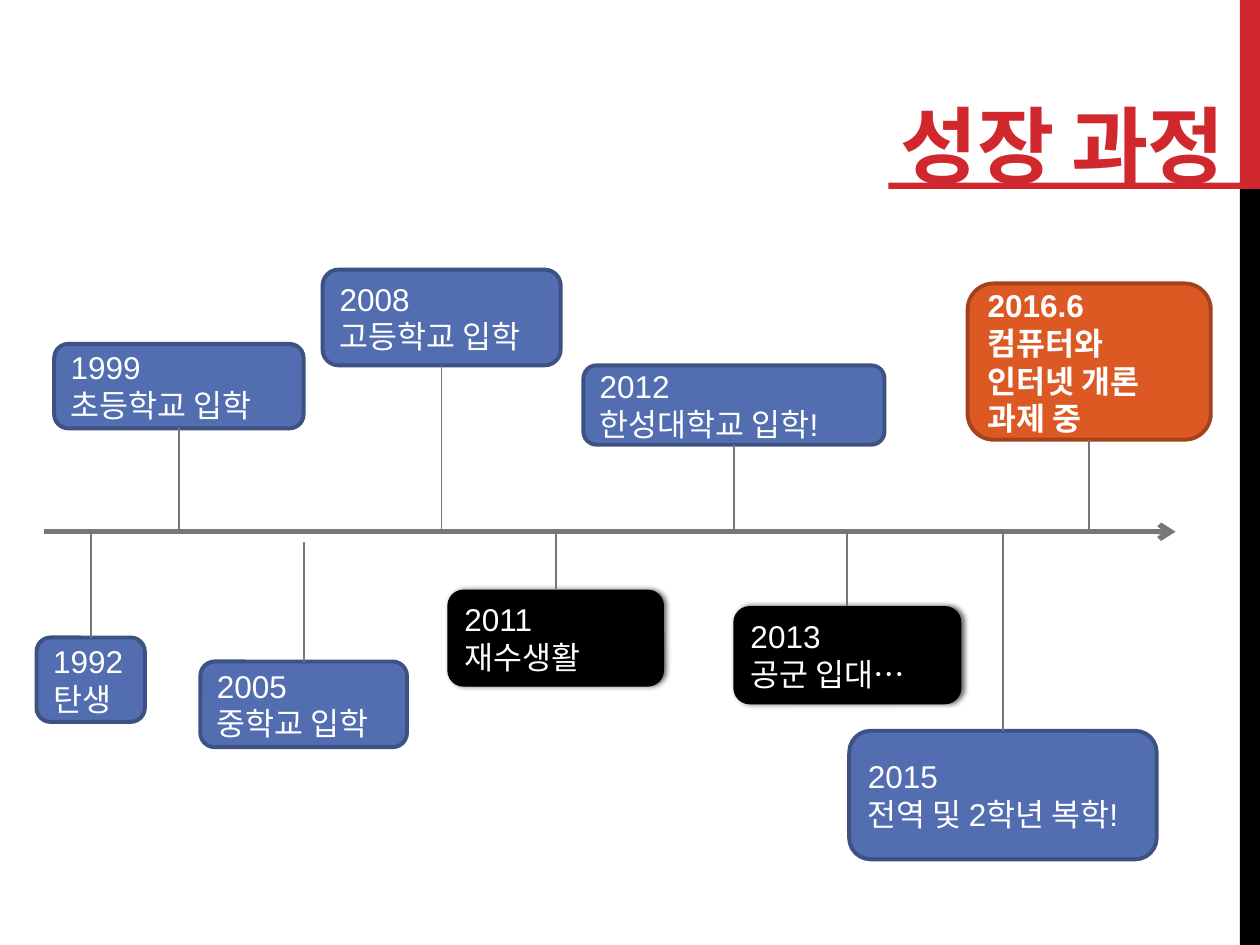
from dataclasses import dataclass

from lxml import etree
from pptx import Presentation
from pptx.dml.color import RGBColor
from pptx.enum import shapes, text
from pptx.oxml import ns
from pptx.util import Inches, Pt


@dataclass
class Theme:
    red: str = "D1282E"
    black: str = "000000"
    blue: str = "526DB0"
    blue_edge: str = "3D5182"
    orange: str = "DC5924"
    orange_edge: str = "A3421B"
    gray: str = "777777"
    white: str = "FFFFFF"
    title_font: str = "Montserrat"
    body_font: str = "Arial"
    title_size: int = 48
    body_size: int = 18


theme = Theme()
AXIS_Y = 4.22
BAR_X = 9.84

presentation = Presentation()
presentation.slide_width = Inches(10)
presentation.slide_height = Inches(7.5)
slide = presentation.slides.add_slide(presentation.slide_layouts[5])


def add_block(kind, box, fill, edge=None):
    shape = slide.shapes.add_shape(kind, *[Inches(value) for value in box])
    shape.shadow.inherit = False
    shape.fill.solid()
    shape.fill.fore_color.rgb = RGBColor.from_string(fill)
    if edge:
        shape.line.color.rgb = RGBColor.from_string(edge)
        shape.line.width = Pt(2.25)
    else:
        shape.line.fill.background()
    return shape


def add_line(start, end, width):
    points = [Inches(value) for value in (*start, *end)]
    connector = slide.shapes.add_connector(shapes.MSO_CONNECTOR.STRAIGHT, *points)
    connector.line.color.rgb = RGBColor.from_string(theme.gray)
    connector.line.width = Pt(width)
    etree.SubElement(connector._element.spPr, ns.qn("a:effectLst"))
    return connector


title = slide.shapes.title
title.left, title.top, title.width, title.height = [
    Inches(value) for value in (7.05, 0.09, 4.21, 1.5)
]
title.text_frame.text = "성장 과정"
title.text_frame.vertical_anchor = text.MSO_ANCHOR.BOTTOM
title.text_frame.auto_size = text.MSO_AUTO_SIZE.NONE
paragraph = title.text_frame.paragraphs[0]
paragraph.alignment = text.PP_ALIGN.LEFT
run = paragraph.runs[0]
run.font.name = theme.title_font
run.font.size = Pt(theme.title_size)
run.font.bold = True
run.font.color.rgb = RGBColor.from_string(theme.red)
run.font._element.set("spc", "-60")

for box, color in (
    ((BAR_X, 0, 0.16, 1.5), theme.red),
    ((BAR_X, 1.5, 0.16, 6), theme.black),
    ((7.05, 1.45, 2.84, 0.05), theme.red),
):
    add_block(shapes.MSO_SHAPE.RECTANGLE, box, color)

axis = add_line((0.35, AXIS_Y), (9.33, AXIS_Y), 3)
etree.SubElement(axis.line._get_or_add_ln(), ns.qn("a:tailEnd"), type="arrow")

styles = {
    "school": (theme.blue, theme.blue_edge),
    "break": (theme.black, None),
    "now": (theme.orange, theme.orange_edge),
}
events = [
    ("2015\v전역 및 2학년 복학!", (6.74, 5.8, 2.44, 1.02), "school", AXIS_Y),
    ("2013\v공군 입대…", (5.82, 4.81, 1.81, 0.78), "break", AXIS_Y),
    ("2011\v재수생활", (3.55, 4.68, 1.72, 0.77), "break", AXIS_Y),
    ("2005\v중학교 입학", (1.59, 5.25, 1.64, 0.68), "school", 4.3),
    ("1999\n초등학교 입학", (0.43, 2.73, 1.98, 0.67), "school", AXIS_Y),
    ("2008\v고등학교 입학", (2.56, 2.14, 1.89, 0.76), "school", AXIS_Y),
    ("2012\v한성대학교 입학!", (4.63, 2.9, 2.39, 0.63), "school", AXIS_Y),
    ("2016.6\v컴퓨터와\n인터넷 개론\n과제 중", (7.68, 2.25, 1.93, 1.24), "now", AXIS_Y),
    ("1992\n탄생", (0.29, 5.06, 0.86, 0.67), "school", AXIS_Y),
]

for label, box, style, stem_end in events:
    shape = add_block(shapes.MSO_SHAPE.ROUNDED_RECTANGLE, box, *styles[style])
    if style == "break":
        effects = shape._element.spPr.find(ns.qn("a:effectLst"))
        shadow = etree.SubElement(
            effects, ns.qn("a:outerShdw"), blurRad=str(Pt(3)), dist=str(Pt(1.5)), dir="0"
        )
        color = etree.SubElement(shadow, ns.qn("a:srgbClr"), val=theme.black)
        etree.SubElement(color, ns.qn("a:alpha"), val="60000")

    frame = shape.text_frame
    frame.text = label
    frame.word_wrap = True
    frame.margin_right = 0
    frame.vertical_anchor = text.MSO_ANCHOR.MIDDLE
    for paragraph in frame.paragraphs:
        paragraph.alignment = text.PP_ALIGN.LEFT
        for run in paragraph.runs:
            run.font.name = theme.body_font
            run.font.size = Pt(theme.body_size)
            run.font.bold = style == "now"
            run.font.color.rgb = RGBColor.from_string(theme.white)

    left, top, width, height = box
    middle = left + width / 2
    above = top < AXIS_Y
    edge_y = top + height if above else top
    stem = add_line((middle, edge_y), (middle, stem_end), 1)
    stem.begin_connect(shape, 2 if above else 0)

presentation.save("out.pptx")
